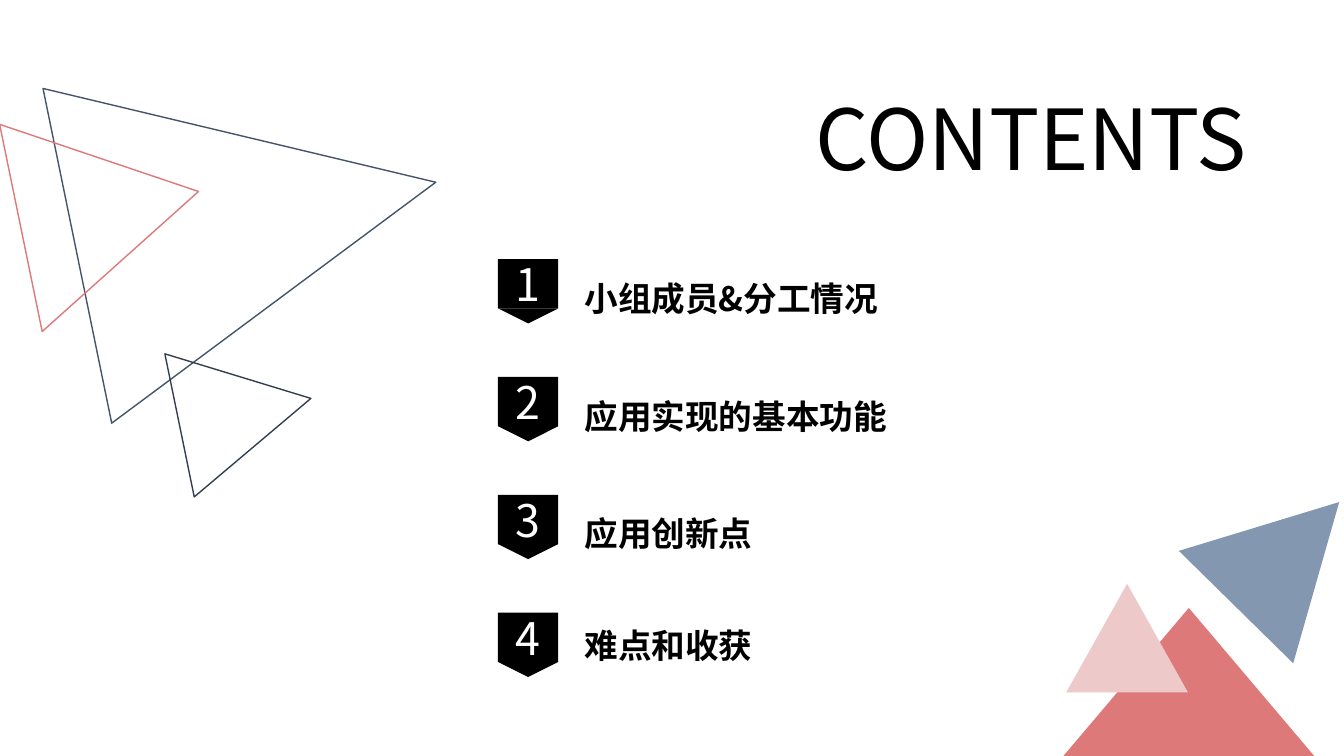
import pptx
import pptx.dml.color
import pptx.enum.shapes
import pptx.enum.text
import pptx.oxml.ns
import pptx.util

SHAPE = pptx.enum.shapes.MSO_SHAPE
ALIGN = pptx.enum.text.PP_ALIGN
ANCHOR = pptx.enum.text.MSO_ANCHOR
AUTO_SIZE = pptx.enum.text.MSO_AUTO_SIZE
Cm = pptx.util.Cm


def color(value):
    return pptx.dml.color.RGBColor.from_string(value)


def write(shape, text, size=24, font="Noto Sans CJK SC", fill="000000", bold=False,
          align=ALIGN.LEFT, anchor=ANCHOR.TOP, spacing=1.0, grow=False):
    frame = shape.text_frame
    frame.word_wrap = True
    frame.vertical_anchor = anchor
    frame.auto_size = AUTO_SIZE.SHAPE_TO_FIT_TEXT if grow else AUTO_SIZE.NONE
    para = frame.paragraphs[0]
    para.alignment = align
    para.line_spacing = spacing
    span = para.add_run()
    span.text = text
    span.font.name = font
    span.font.size = pptx.util.Pt(size)
    span.font.bold = bold
    span.font.color.rgb = color(fill)
    east_asian = span.font._element.makeelement(pptx.oxml.ns.qn("a:ea"), {"typeface": font})
    span.font._element.find(pptx.oxml.ns.qn("a:latin")).addnext(east_asian)


class ContentsPage:
    black = "000000"
    white = "FFFFFF"
    badge_width = 1.52
    badge_height = 1.24
    tip_height = 0.38

    def __init__(self, deck):
        self.page = deck.slides.add_slide(deck.slide_layouts[5])

    def title(self, text, left, top, width, height):
        box = self.page.shapes.title
        box.left, box.top, box.width, box.height = Cm(left), Cm(top), Cm(width), Cm(height)
        write(box, text, size=60, align=ALIGN.CENTER, grow=True)

    def shape(self, kind, place, fill=None, line=None, rotation=0, parent=None):
        shapes = (parent or self.page).shapes
        shape = shapes.add_shape(kind, *(Cm(length) for length in place))
        shape.shadow.inherit = False
        shape.rotation = rotation
        if fill:
            shape.fill.solid()
            shape.fill.fore_color.rgb = color(fill)
        else:
            shape.fill.background()
        if line:
            shape.line.color.rgb = color(line)
            shape.line.width = pptx.util.Pt(1)
        else:
            shape.line.fill.background()
        return shape

    def badge(self, number, left, top):
        group = self.page.shapes.add_group_shape()
        body = self.shape(SHAPE.RECTANGLE, (left, top, self.badge_width, self.badge_height),
                          fill=self.black, parent=group)
        write(body, str(number), size=32, fill=self.white, align=ALIGN.CENTER,
              anchor=ANCHOR.MIDDLE)
        tip = (left, top + self.badge_height, self.badge_width, self.tip_height)
        self.shape(SHAPE.ISOSCELES_TRIANGLE, tip, fill=self.black, rotation=180, parent=group)

    def label(self, text, left, top, width, height):
        box = self.page.shapes.add_textbox(Cm(left), Cm(top), Cm(width), Cm(height))
        write(box, text, bold=True, spacing=1.3, grow=True)


def main():
    deck = pptx.Presentation()
    deck.slide_width, deck.slide_height = Cm(33.87), Cm(19.05)
    contents = ContentsPage(deck)

    outlines = contents.page.shapes.add_group_shape()
    for place, line in [
        ((2.16, 0.91, 8.61, 9.22), "44546A"),
        ((4.34, 8.69, 3.68, 3.38), "333F50"),
        ((0.1, 3, 5.33, 4.57), "DD7979"),
    ]:
        contents.shape(SHAPE.ISOSCELES_TRIANGLE, place, line=line, rotation=78.4,
                       parent=outlines)

    for place, fill, rotation in [
        ((26.8, 15.32, 6.32, 3.73), "DD7979", 0),
        ((26.87, 14.71, 3.07, 2.74), "EDC9C9", 0),
        ((30.43, 12.12, 4.04, 3.71), "8497B0", 44.5),
    ]:
        contents.shape(SHAPE.ISOSCELES_TRIANGLE, place, fill=fill, rotation=rotation)

    topics = [
        ("小组成员&分工情况", 6.58),
        ("应用实现的基本功能", 9.55),
        ("应用创新点", 12.5),
        ("难点和收获", 15.32),
    ]
    for index, (topic, label_top) in enumerate(topics):
        contents.badge(index + 1, 12.55, 6.53 + 2.97 * index)
        contents.label(topic, 14.48, label_top, 9.04, 1.45)

    contents.title("CONTENTS", 19.41, 2.06, 13.13, 2.82)
    deck.save("out.pptx")


if __name__ == "__main__":
    main()
